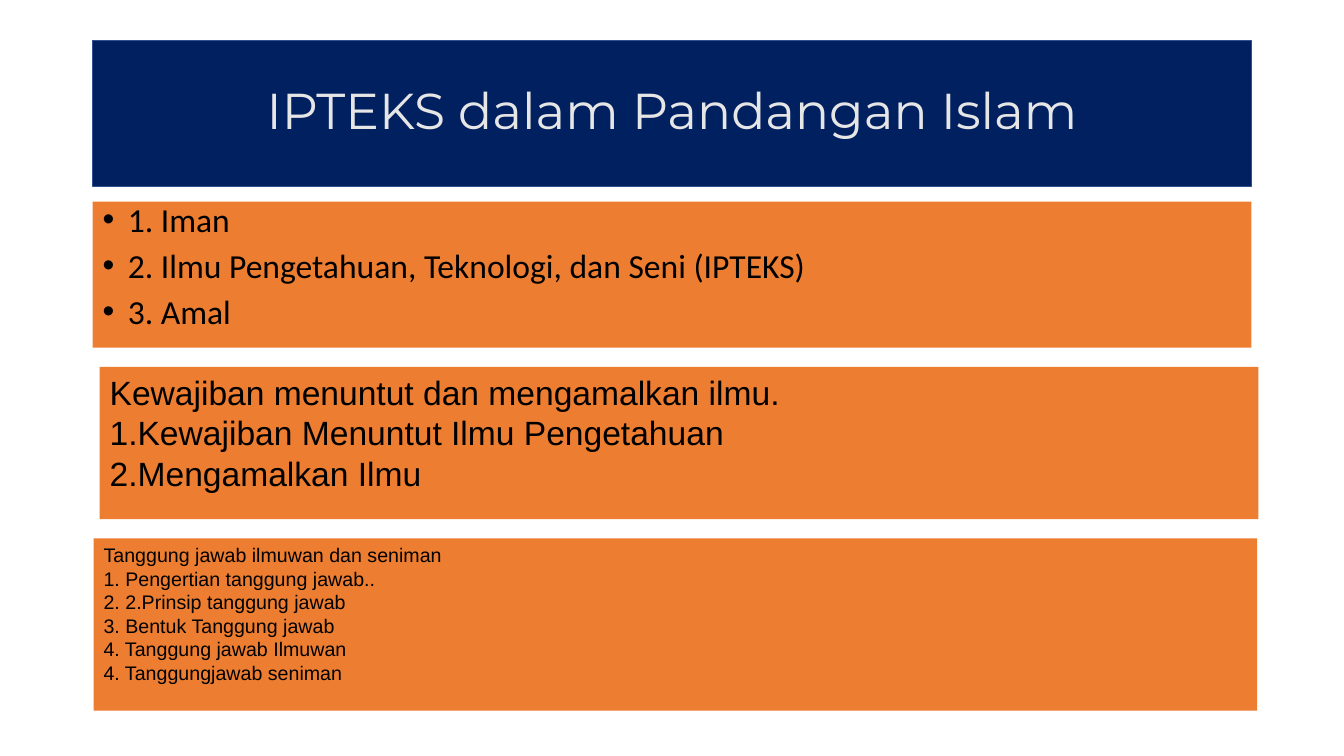
from lxml import etree
from pptx import Presentation
from pptx.dml.color import RGBColor
from pptx.enum.shapes import MSO_SHAPE
from pptx.enum.text import MSO_ANCHOR, PP_ALIGN
from pptx.oxml.ns import qn
from pptx.util import Inches, Pt

RECT = MSO_SHAPE.RECTANGLE
TOP, MIDDLE = MSO_ANCHOR.TOP, MSO_ANCHOR.MIDDLE
LEFT, CENTER = PP_ALIGN.LEFT, PP_ALIGN.CENTER

# Content
TITLE = ["IPTEKS dalam Pandangan Islam"]
TOPICS = [
    "1. Iman",
    "2. Ilmu Pengetahuan, Teknologi, dan Seni (IPTEKS)",
    "3. Amal",
]
DUTIES = [
    "Kewajiban menuntut dan mengamalkan ilmu.",
    "1.Kewajiban Menuntut Ilmu Pengetahuan",
    "2.Mengamalkan Ilmu",
]
ROLES = [
    "Tanggung jawab ilmuwan dan seniman",
    "1. Pengertian tanggung jawab..",
    "2. 2.Prinsip tanggung jawab",
    "3. Bentuk Tanggung jawab",
    "4. Tanggung jawab Ilmuwan",
    "4. Tanggungjawab seniman",
]

COLORS = {
    "navy": "002060",
    "edge": "2F528F",
    "orange": "ED7D31",
    "pale": "E7E6E6",
    "black": "000000",
}

# Lines, place in percent of the slide (left, top, width, height), font, size
TITLE_BAND = (TITLE, (6.9, 5.33, 86.21, 19.33), "Montserrat", 36)
TOPIC_BAND = (TOPICS, (6.9, 26.67, 86.21, 19.33), "Calibri", 24)
DUTY_BAND = (DUTIES, (7.42, 48.53, 86.21, 20.13), "Arial", 24)
ROLE_BAND = (ROLES, (6.97, 71.2, 86.58, 22.8), "Arial", 14)

deck = Presentation()
deck.slide_width, deck.slide_height = Inches(13.34), Inches(7.5)
slide = deck.slides.add_slide(deck.slide_layouts[6])


def color(name):
    return RGBColor.from_string(COLORS[name])


def add_bullet(para):
    props = para._p.get_or_add_pPr()
    props.set("marL", str(Inches(0.25)))
    props.set("indent", str(-Inches(0.25)))
    etree.SubElement(props, qn("a:buFont")).set("typeface", "Arial")
    etree.SubElement(props, qn("a:buChar")).set("char", "•")


def add_band(band, fill="orange", ink="black", edge=None, align=LEFT,
             anchor=TOP, space=None, gap=0, bullet=False):
    lines, place, font, size = band
    sides = (deck.slide_width, deck.slide_height) * 2
    box = slide.shapes.add_shape(
        RECT, *(round(side * share / 100) for side, share in zip(sides, place)))
    box.shadow.inherit = False
    box.fill.solid()
    box.fill.fore_color.rgb = color(fill)
    if edge:
        box.line.color.rgb = color(edge)
        box.line.width = Pt(1)
    else:
        box.line.fill.background()

    frame = box.text_frame
    frame.word_wrap = True
    frame.vertical_anchor = anchor
    frame.text = "\n".join(lines)
    for row, para in enumerate(frame.paragraphs):
        if bullet:
            add_bullet(para)
        para.alignment = align
        if space:
            para.line_spacing = space
        if row:
            para.space_before = Pt(gap)
        for run in para.runs:
            run.font.name = font
            run.font.size = Pt(size)
            run.font.color.rgb = color(ink)


# Title, then the three orange bands
add_band(TITLE_BAND, "navy", "pale", "edge", CENTER, MIDDLE, space=0.9)
add_band(TOPIC_BAND, space=0.8, gap=10, bullet=True)
add_band(DUTY_BAND)
add_band(ROLE_BAND)

deck.save("out.pptx")
